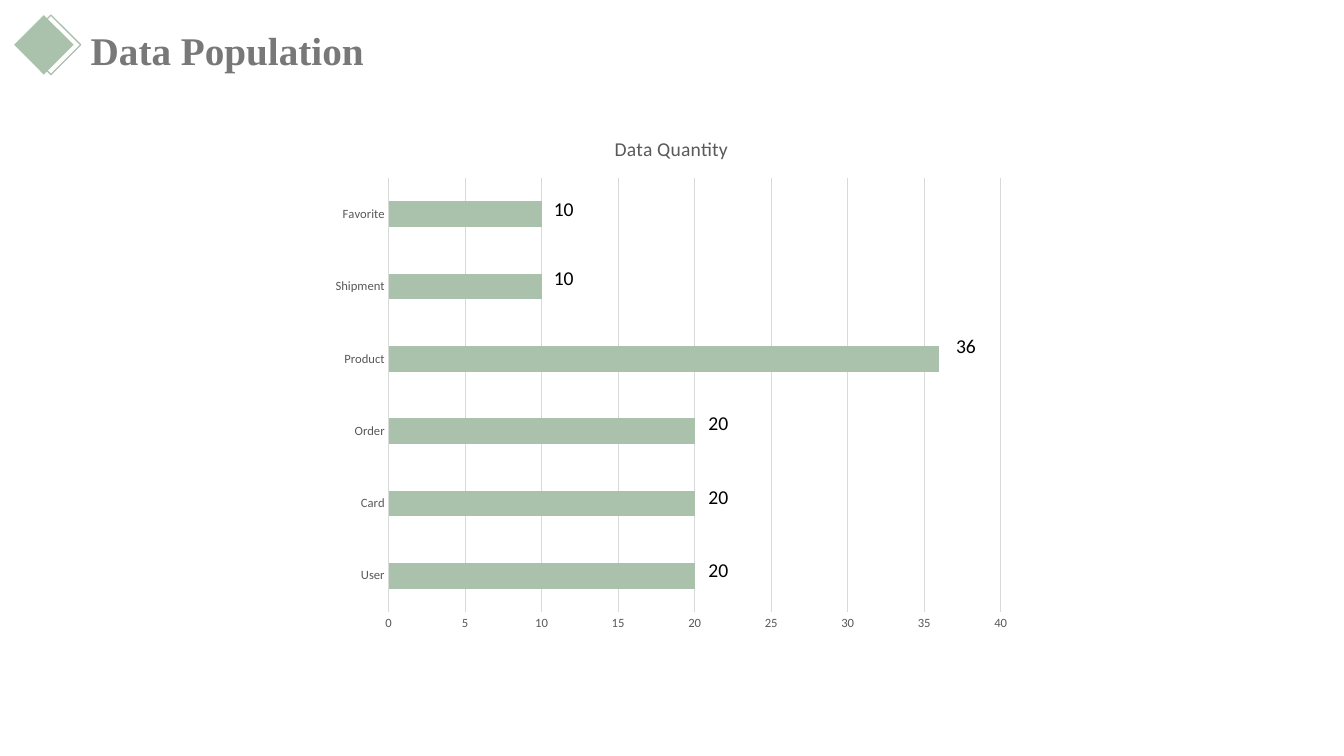
from dataclasses import dataclass

from pptx import Presentation
from pptx.chart.data import CategoryChartData
from pptx.dml.color import RGBColor
from pptx.enum.chart import XL_CHART_TYPE as ChartType, XL_TICK_MARK as Tick
from pptx.enum.shapes import MSO_SHAPE as Shape
from pptx.enum.text import MSO_ANCHOR as Anchor, MSO_AUTO_SIZE as AutoSize, PP_ALIGN as Align
from pptx.util import Pt

TITLE = "Data Population"
CHART_TITLE = "Data Quantity"
ROWS = [
    ("User", 20, 395.3),
    ("Card", 20, 342.7),
    ("Order", 20, 290.2),
    ("Product", 36, 234.7),
    ("Shipment", 10, 186.5),
    ("Favorite", 10, 136.8),
]
CHART_BOX = (229.7, 82.8, 499.7, 375.1)
TITLE_BOX = (57.6, 15.1, 209.5, 41.2)
DIAMONDS = [(10.1, True), (15.1, False)]
DIAMOND_TOP, DIAMOND_SIZE = 10.8, 42.5
LABEL_ZERO, LABEL_STEP = 278, 11.05
LABEL_WIDTH, LABEL_HEIGHT = 36, 24.5


@dataclass(frozen=True)
class Theme:
    sage: RGBColor = RGBColor.from_string("AAC2AC")
    heading: RGBColor = RGBColor.from_string("787878")
    axis: RGBColor = RGBColor.from_string("595959")
    grid: RGBColor = RGBColor.from_string("D9D9D9")
    black: RGBColor = RGBColor.from_string("000000")
    serif: str = "Times New Roman"
    sans: str = "Calibri"
    title_size: int = 28
    label_size: int = 14
    chart_size: int = 10
    axis_size: int = 9


T = Theme()


def points(*values):
    return [Pt(v) for v in values]


def style_font(font, size, color, name=T.sans, bold=False):
    font.name, font.size, font.bold = name, Pt(size), bold
    font.color.rgb = color


def write(tf, text, wrap=True, **fmt):
    tf.word_wrap = wrap
    tf.auto_size = AutoSize.SHAPE_TO_FIT_TEXT
    tf.vertical_anchor = Anchor.TOP
    p = tf.paragraphs[0]
    p.alignment = Align.LEFT
    r = p.add_run()
    r.text = text
    style_font(r.font, **fmt)


def add_diamond(s, left, solid):
    sp = s.shapes.add_shape(
        Shape.DIAMOND, *points(left, DIAMOND_TOP, DIAMOND_SIZE, DIAMOND_SIZE))
    sp.shadow.inherit = False
    if solid:
        sp.fill.solid()
        sp.fill.fore_color.rgb = T.sage
        sp.line.fill.background()
    else:
        sp.fill.background()
        sp.line.color.rgb = T.sage
        sp.line.width = Pt(1)


def set_line(line, color):
    line.color.rgb = color
    line.width = Pt(0.75)


def add_quantity_chart(s):
    data = CategoryChartData()
    data.categories = [name for name, _, _ in ROWS]
    data.add_series(CHART_TITLE, [value for _, value, _ in ROWS])
    chart = s.shapes.add_chart(
        ChartType.BAR_CLUSTERED, *points(*CHART_BOX), data).chart
    style_font(chart.font, T.chart_size, T.black)
    chart.has_legend = False
    chart.has_title = True
    chart.chart_title.include_in_layout = False
    r = chart.chart_title.text_frame.paragraphs[0].add_run()
    r.text = CHART_TITLE
    style_font(r.font, T.label_size, T.axis)

    plot = chart.plots[0]
    plot.gap_width = 182
    plot.vary_by_categories = False
    fill = plot.series[0].format.fill
    fill.solid()
    fill.fore_color.rgb = T.sage

    cat, val = chart.category_axis, chart.value_axis
    for axis in (cat, val):
        axis.major_tick_mark = axis.minor_tick_mark = Tick.NONE
        style_font(axis.tick_labels.font, T.axis_size, T.axis)
    cat.has_major_gridlines = False
    set_line(cat.format.line, T.grid)
    val.minimum_scale, val.maximum_scale, val.major_unit = 0, 40, 5
    val.has_major_gridlines = True
    set_line(val.major_gridlines.format.line, T.grid)
    val.format.line.fill.background()


def main():
    prs = Presentation()
    prs.slide_width, prs.slide_height = points(960, 540)
    s = prs.slides.add_slide(prs.slide_layouts[5])
    title = s.shapes.title
    title.left, title.top, title.width, title.height = points(*TITLE_BOX)
    write(title.text_frame, TITLE, wrap=False, size=T.title_size,
          color=T.heading, name=T.serif, bold=True)
    for left, solid in DIAMONDS:
        add_diamond(s, left, solid)
    add_quantity_chart(s)
    for _, value, top in ROWS:
        left = LABEL_ZERO + LABEL_STEP * value
        box = s.shapes.add_textbox(*points(left, top, LABEL_WIDTH, LABEL_HEIGHT))
        write(box.text_frame, str(value), size=T.label_size, color=T.black)
    prs.save("out.pptx")


if __name__ == "__main__":
    main()
